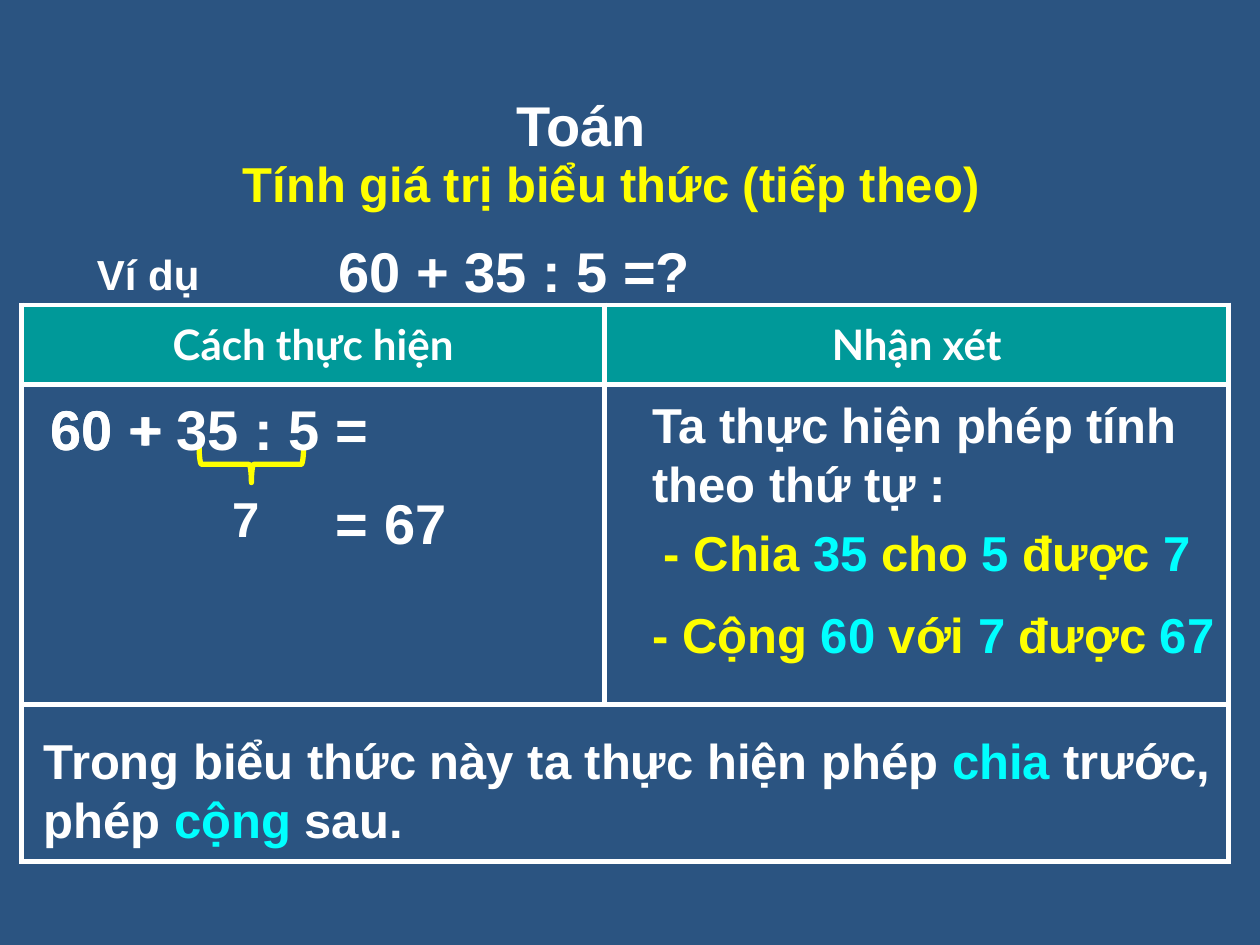
import pptx
import pptx.util
import pptx.dml.color
import pptx.enum.text
import pptx.enum.shapes
import pptx.oxml
import pptx.oxml.ns
from lxml import etree

Inches = pptx.util.Inches
Pt = pptx.util.Pt
ALIGN = pptx.enum.text.PP_ALIGN
COLORS = {"page": "2B5481", "white": "FFFFFF", "yellow": "FFFF00",
          "cyan": "00FFFF", "teal": "009999"}


def color(name):
    return pptx.dml.color.RGBColor.from_string(COLORS[name])


class Lesson:
    def __init__(self, deck):
        self.page = deck.slides.add_slide(deck.slide_layouts[6])
        self.page.background.fill.solid()
        self.page.background.fill.fore_color.rgb = color("page")

    def fill_text(self, frame, lines, size, colors, align=ALIGN.LEFT, font="Arial"):
        for index, line in enumerate(lines):
            para = frame.paragraphs[0] if index == 0 else frame.add_paragraph()
            para.alignment = align
            for position, words in enumerate(line.split("|")):
                span = para.add_run()
                span.text = words
                style = {"name": font, "size": Pt(size), "bold": True}
                for key, value in style.items():
                    setattr(span.font, key, value)
                span.font.color.rgb = color(colors[position % len(colors)])

    def text(self, place, lines, size=28, colors=("white",), align=ALIGN.LEFT, wrap=True):
        box = self.page.shapes.add_textbox(*map(Inches, place))
        box.text_frame.word_wrap = wrap
        box.text_frame.auto_size = pptx.enum.text.MSO_AUTO_SIZE.SHAPE_TO_FIT_TEXT
        self.fill_text(box.text_frame, lines, size, colors, align)

    def borders(self, cell):
        properties = cell._tc.get_or_add_tcPr()
        for side in ("lnL", "lnR", "lnT", "lnB"):
            line = etree.SubElement(properties, pptx.oxml.ns.qn("a:" + side), w=str(Pt(3)))
            fill = etree.SubElement(line, pptx.oxml.ns.qn("a:solidFill"))
            etree.SubElement(fill, pptx.oxml.ns.qn("a:srgbClr"), val=COLORS["white"])

    def table(self, place, widths, heights, headings):
        table = self.page.shapes.add_table(
            len(heights), len(widths), *map(Inches, place)).table
        table.first_row = table.horz_banding = False
        for column, width in zip(table.columns, widths):
            column.width = Inches(width)
        for row, height in zip(table.rows, heights):
            row.height = Inches(height)
            for cell in row.cells:
                self.borders(cell)
                cell.fill.background()
        for cell, heading in zip(table.rows[0].cells, headings):
            cell.fill.solid()
            cell.fill.fore_color.rgb = color("teal")
            cell.vertical_anchor = pptx.enum.text.MSO_ANCHOR.MIDDLE
            self.fill_text(cell.text_frame, [heading], 24, ["white"], ALIGN.CENTER, "Lato")
        table.cell(2, 0).merge(table.cell(2, 1))

    def brace(self, place):
        shape = self.page.shapes.add_shape(
            pptx.enum.shapes.MSO_SHAPE.RIGHT_BRACE, *map(Inches, place))
        shape.shadow.inherit = False
        shape.rotation = 90
        shape.adjustments[0] = 0.067
        shape.fill.background()
        shape.line.color.rgb = color("yellow")
        shape.line.width = Pt(3)


deck = pptx.Presentation()
deck.slide_width, deck.slide_height = Inches(10), Inches(7.5)
lesson = Lesson(deck)
steps = ("yellow", "cyan")
rule = ("white", "cyan")

lesson.text((4, 0.67, 1.58, 0.63), ["Toán"], 32)
lesson.text((1.83, 1.17, 6.06, 0.57), ["Tính giá trị biểu thức (tiếp theo)"],
            colors=["yellow"], wrap=False)
lesson.text((0.67, 1.92, 1.49, 0.5), ["Ví dụ 1 :"], 24, wrap=False)
lesson.table((0.17, 2.42, 9.58, 4.42), (4.63, 4.95), (0.63, 2.54, 1.25),
             ("Cách thực hiện", "Nhận xét"))
lesson.brace((1.85, 3.27, 0.29, 0.83))

for left, top, width, words in (
        (2.5, 1.83, 3.17, "60 + 35 : 5 =?"),
        (0.08, 3.08, 3.17, "60 + 35 : 5 ="),
        (0.79, 3.08, 0.75, "+"),
        (0.15, 3.08, 1, "60"),
        (2.5, 3.83, 0.58, "="),
        (2.92, 3.83, 0.75, "67")):
    lesson.text((left, top, width, 0.63), [words], 32, align=ALIGN.CENTER)

lesson.text((1.75, 3.83, 0.42, 0.57), ["7"], wrap=False)
lesson.text((5.08, 3.08, 4.51, 1.03), ["Ta thực hiện phép tính ", "theo thứ tự :"], wrap=False)
lesson.text((5.17, 4.1, 4.39, 0.57), ["- Chia |35| cho |5| được |7"], colors=steps, wrap=False)
lesson.text((5.08, 4.75, 4.92, 0.57), ["- Cộng |60| với |7| được |67"], colors=steps)
lesson.text((0.25, 5.75, 9.67, 1.03),
            ["Trong biểu thức này ta thực hiện phép |chia| trước, phép |cộng| sau."], colors=rule)

deck.save("out.pptx")
